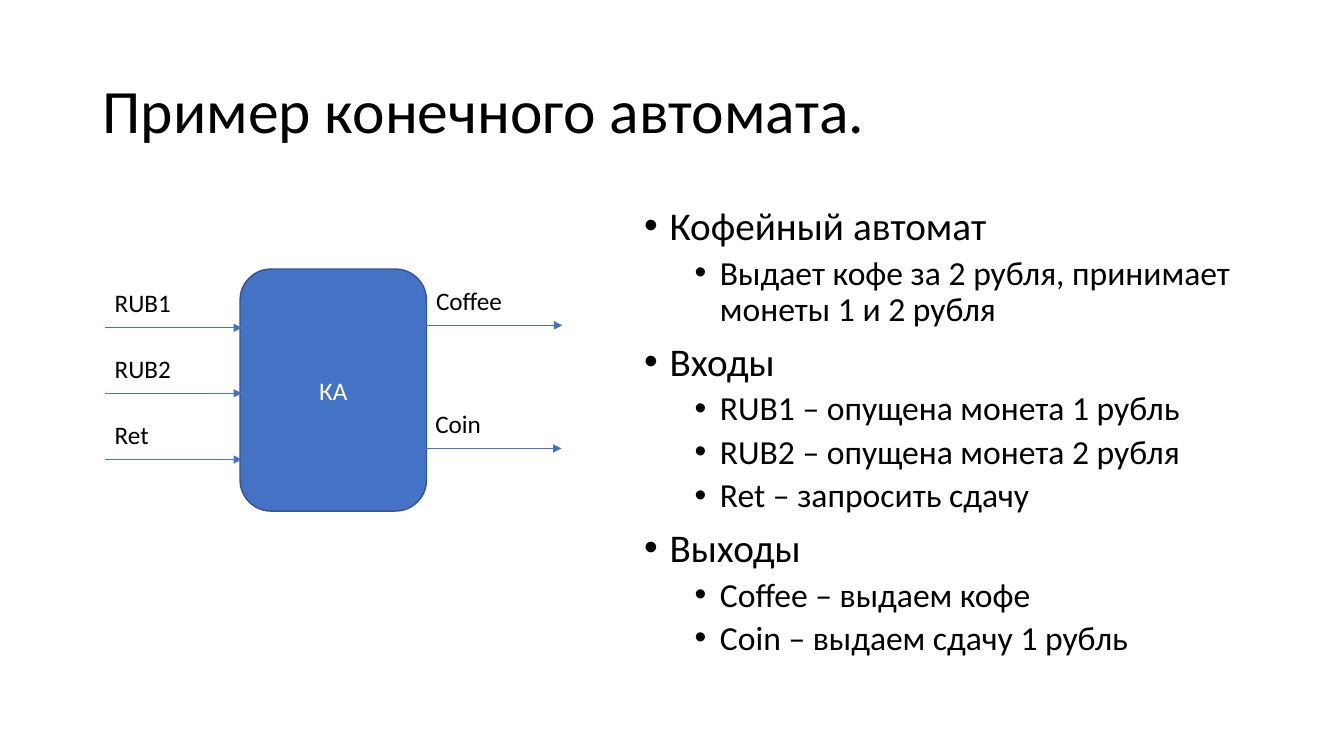
from lxml.etree import SubElement
from pptx import Presentation
from pptx.dml.color import RGBColor
from pptx.enum.shapes import MSO_CONNECTOR as Connector, MSO_SHAPE as Shape
from pptx.enum.text import MSO_ANCHOR as Anchor, MSO_AUTO_SIZE as AutoSize, PP_ALIGN as Align
from pptx.oxml.ns import qn
from pptx.util import Cm, Pt

TITLE = "Пример конечного автомата."
OUTLINE = [
    ("Кофейный автомат", ["Выдает кофе за 2 рубля, принимает монеты 1 и 2 рубля"]),
    ("Входы", ["RUB1 – опущена монета 1 рубль",
               "RUB2 – опущена монета 2 рубля",
               "Ret – запросить сдачу"]),
    ("Выходы", ["Coffee – выдаем кофе", "Coin – выдаем сдачу 1 рубль"]),
]
MACHINE = "КА"
# Signal name, start and end of its arrow, height of the arrow (cm)
SIGNALS = [
    ("RUB1", 2.64, 6.1, 8.26),
    ("RUB2", 2.64, 6.1, 9.91),
    ("Ret", 2.64, 6.1, 11.58),
    ("Coffee", 10.74, 14.17, 8.2),
    ("Coin", 10.72, 14.15, 11.3),
]
LABEL_RISE, LABEL_WIDTH, LABEL_HEIGHT = 1.14, 3.25, 1.02
# Size, space before (pt), left indent (cm) for each outline level
LEVELS = [(28, 10, 0.64), (24, 5, 1.91)]
HANGING = 0.64

FONT = "Calibri"
BLACK = RGBColor(0, 0, 0)
WHITE = RGBColor(255, 255, 255)
BLUE = RGBColor(0x44, 0x72, 0xC4)
DARK_BLUE = RGBColor(0x32, 0x54, 0x91)


def place(shape, left, top, width, height):
    shape.left, shape.top = Cm(left), Cm(top)
    shape.width, shape.height = Cm(width), Cm(height)


def style(para, size, color=BLACK):
    para.font.name = FONT
    para.font.size = Pt(size)
    para.font.color.rgb = color


def add_title(page):
    title = page.shapes.title
    place(title, 2.33, 1.02, 29.21, 3.68)
    title.text_frame.text = TITLE
    title.text_frame.auto_size = AutoSize.NONE
    title.text_frame.vertical_anchor = Anchor.MIDDLE
    para = title.text_frame.paragraphs[0]
    para.alignment = Align.LEFT
    para.line_spacing = 0.9
    style(para, 44)


def add_outline(page):
    body = page.placeholders[1]
    place(body, 15.98, 5.08, 15.56, 12.09)
    lines = []
    for heading, details in OUTLINE:
        lines += [(heading, 0)] + [(detail, 1) for detail in details]
    frame = body.text_frame
    frame.text = "\n".join(text for text, _ in lines)
    frame.auto_size = AutoSize.NONE
    for para, (_, level) in zip(frame.paragraphs, lines):
        size, before, indent = LEVELS[level]
        para.level = level
        para.line_spacing = 0.9
        para.space_before = Pt(before)
        props = para._p.get_or_add_pPr()
        props.set("marL", str(Cm(indent)))
        props.set("indent", str(-Cm(HANGING)))
        SubElement(props, qn("a:buFont"), typeface="Arial")
        SubElement(props, qn("a:buChar"), char="•")
        style(para, size)


def add_machine(page):
    machine = page.shapes.add_shape(
        Shape.ROUNDED_RECTANGLE, Cm(6.05), Cm(6.78), Cm(4.7), Cm(6.1))
    machine.shadow.inherit = False
    machine.fill.solid()
    machine.fill.fore_color.rgb = BLUE
    machine.line.color.rgb = DARK_BLUE
    machine.line.width = Pt(1)
    machine.text_frame.text = MACHINE
    machine.text_frame.vertical_anchor = Anchor.MIDDLE
    para = machine.text_frame.paragraphs[0]
    para.alignment = Align.CENTER
    style(para, 18, WHITE)


def add_signal(page, name, start, end, height):
    """Draw an arrow with its name above it."""
    arrow = page.shapes.add_connector(
        Connector.STRAIGHT, Cm(start), Cm(height), Cm(end), Cm(height))
    arrow.line.color.rgb = BLUE
    arrow.line.width = Pt(0.5)
    SubElement(arrow.line._get_or_add_ln(), qn("a:tailEnd"), type="triangle")
    SubElement(arrow._element.spPr, qn("a:effectLst"))

    label = page.shapes.add_textbox(
        Cm(start), Cm(height - LABEL_RISE), Cm(LABEL_WIDTH), Cm(LABEL_HEIGHT))
    label.text_frame.word_wrap = True
    label.text_frame.auto_size = AutoSize.SHAPE_TO_FIT_TEXT
    label.text_frame.text = name
    style(label.text_frame.paragraphs[0], 18)


def main():
    deck = Presentation()
    deck.slide_width, deck.slide_height = Cm(33.87), Cm(19.05)
    page = deck.slides.add_slide(deck.slide_layouts[1])
    add_title(page)
    add_outline(page)
    add_machine(page)
    for signal in SIGNALS:
        add_signal(page, *signal)
    deck.save("out.pptx")


if __name__ == "__main__":
    main()
